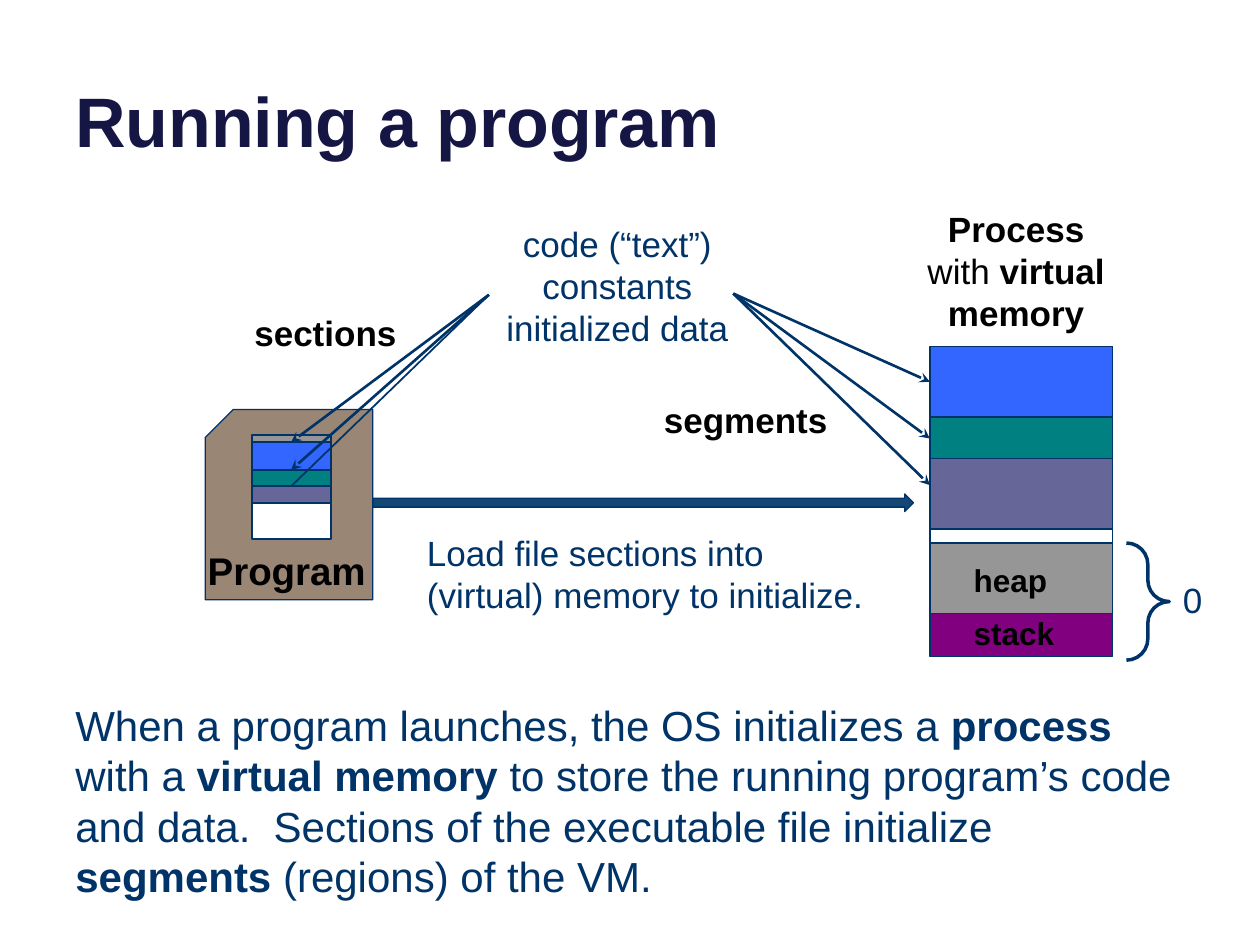
from dataclasses import dataclass

from lxml.etree import SubElement
from pptx import Presentation
from pptx.dml.color import RGBColor
from pptx.enum.shapes import MSO_CONNECTOR, MSO_SHAPE
from pptx.enum.text import MSO_ANCHOR, PP_ALIGN
from pptx.oxml.ns import qn
from pptx.util import Inches, Pt

NAVY = RGBColor(0x00, 0x33, 0x67)
TITLE_NAVY = RGBColor(0x16, 0x16, 0x45)
ARROW_BLUE = RGBColor(0x13, 0x47, 0x76)
BLACK = RGBColor(0x00, 0x00, 0x00)
WHITE = RGBColor(0xFF, 0xFF, 0xFF)
TAN = RGBColor(0x99, 0x86, 0x74)
BLUE = RGBColor(0x33, 0x66, 0xFF)
TEAL = RGBColor(0x00, 0x80, 0x80)
SLATE = RGBColor(0x66, 0x66, 0x99)
GRAY = RGBColor(0x96, 0x96, 0x96)
PURPLE = RGBColor(0x80, 0x00, 0x80)


@dataclass
class Box:
    left: float
    top: float
    width: float
    height: float

    def emu(self) -> tuple:
        return tuple(Inches(v) for v in (self.left, self.top, self.width, self.height))


@dataclass
class Label:
    box: Box
    paragraphs: list[list[tuple[str, bool]]]
    size: int = 20
    color: RGBColor = NAVY
    align: PP_ALIGN = PP_ALIGN.LEFT
    anchor: MSO_ANCHOR = MSO_ANCHOR.TOP
    wrap: bool = True


@dataclass
class Band:
    height: float
    color: RGBColor


@dataclass
class Fan:
    tip_x: float
    tips: list[float]
    origin: tuple[float, float]


def bold_label(text: str, box: Box, size: int = 20) -> Label:
    return Label(box, [[(text, True)]], size, BLACK)


SECTIONS = [Band(0.06, GRAY), Band(0.22, BLUE), Band(0.13, TEAL),
            Band(0.13, SLATE), Band(0.29, WHITE)]
SEGMENTS = [Band(0.56, BLUE), Band(0.33, TEAL), Band(0.56, SLATE),
            Band(0.11, WHITE), Band(0.56, GRAY), Band(0.34, PURPLE)]

FANS = [
    Fan(2.31, [3.51, 3.73, 3.86], (3.88, 2.34)),
    Fan(7.38, [3.03, 3.48, 3.85], (5.82, 2.33)),
]
PLAIN_TIP = (2.31, 3.86)

LABELS = [
    Label(Box(0.5, -0.37, 9, 1.7), [[("Running a program", True)]], 40, TITLE_NAVY,
          anchor=MSO_ANCHOR.BOTTOM),
    bold_label("Program", Box(1.55, 4.29, 2.01, 0.47), 22),
    bold_label("sections", Box(1.92, 2.42, 2.01, 0.81)),
    bold_label("segments", Box(5.17, 3.11, 2.01, 0.44)),
    bold_label("heap", Box(7.63, 4.4, 0.87, 0.41), 18),
    bold_label("stack", Box(7.63, 4.82, 0.87, 0.41), 18),
    Label(Box(3.91, 1.72, 1.98, 1.11),
          [[("code (“text”)", False)], [("constants", False)],
           [("initialized data", False)]],
          align=PP_ALIGN.CENTER, wrap=False),
    Label(Box(7.25, 1.6, 1.63, 1.48),
          [[("Process ", True), ("with", False), (" virtual memory", True)]],
          color=BLACK, align=PP_ALIGN.CENTER),
    Label(Box(3.29, 4.17, 3.76, 0.78),
          [[("Load file sections into (virtual) memory to initialize.", False)]]),
    Label(Box(9.29, 4.54, 0.34, 0.44), [[("0", False)]]),
    Label(Box(0.5, 5.5, 9, 1.72),
          [[("When a program launches, the OS initializes a ", False),
            ("process", True),
            (" with a ", False),
            ("virtual memory ", True),
            ("to store the running program’s code and data.  "
             "Sections of the executable file initialize ", False),
            ("segments", True),
            (" (regions) of the VM.", False)]], 24),
]


def add_label(s, label: Label) -> None:
    tf = s.shapes.add_textbox(*label.box.emu()).text_frame
    tf.word_wrap = label.wrap
    tf.vertical_anchor = label.anchor
    for i, runs in enumerate(label.paragraphs):
        p = tf.add_paragraph() if i else tf.paragraphs[0]
        p.alignment = label.align
        for text, bold in runs:
            r = p.add_run()
            r.text = text
            r.font.name = "Arial"
            r.font.size = Pt(label.size)
            r.font.bold = bold
            r.font.color.rgb = label.color


def add_outlined(s, kind: MSO_SHAPE, box: Box, fill: RGBColor | None, line: float):
    sp = s.shapes.add_shape(kind, *box.emu())
    sp.shadow.inherit = False
    if fill is None:
        sp.fill.background()
    else:
        sp.fill.solid()
        sp.fill.fore_color.rgb = fill
    sp.line.color.rgb = NAVY
    sp.line.width = Pt(line)
    return sp


def add_stack(s, left: float, top: float, width: float, bands: list[Band]) -> None:
    for band in bands:
        box = Box(left, top, width, band.height)
        add_outlined(s, MSO_SHAPE.FLOWCHART_PROCESS, box, band.color, 1)
        top += band.height


def add_fan(s, fan: Fan) -> None:
    for tip_y in fan.tips:
        ends = (fan.tip_x, tip_y, *fan.origin)
        cxn = s.shapes.add_connector(MSO_CONNECTOR.STRAIGHT, *map(Inches, ends))
        plain = (fan.tip_x, tip_y) == PLAIN_TIP
        cxn.line.color.rgb = NAVY
        cxn.line.width = Pt(1 if plain else 1.5)
        if not plain:
            SubElement(cxn.line._get_or_add_ln(), qn("a:headEnd"), type="stealth")
        SubElement(cxn._element.spPr, qn("a:effectLst"))


def main() -> None:
    prs = Presentation()
    prs.slide_width, prs.slide_height = Inches(10), Inches(7.5)
    s = prs.slides.add_slide(prs.slide_layouts[6])

    program = add_outlined(s, MSO_SHAPE.SNIP_1_RECTANGLE,
                           Box(1.63, 3.25, 1.33, 1.51), TAN, 0.75)
    program._element.spPr.xfrm.set("flipH", "1")
    add_outlined(s, MSO_SHAPE.RIGHT_ARROW, Box(2.96, 3.92, 4.29, 0.14),
                 ARROW_BLUE, 0.75)
    add_stack(s, 7.38, 2.75, 1.45, SEGMENTS)
    add_stack(s, 2, 3.45, 0.63, SECTIONS)
    for fan in FANS:
        add_fan(s, fan)
    brace = add_outlined(s, MSO_SHAPE.RIGHT_BRACE, Box(8.94, 4.31, 0.34, 0.93), None, 2)
    brace.adjustments[0] = 0.5
    for label in LABELS:
        add_label(s, label)

    prs.save("out.pptx")


if __name__ == "__main__":
    main()
